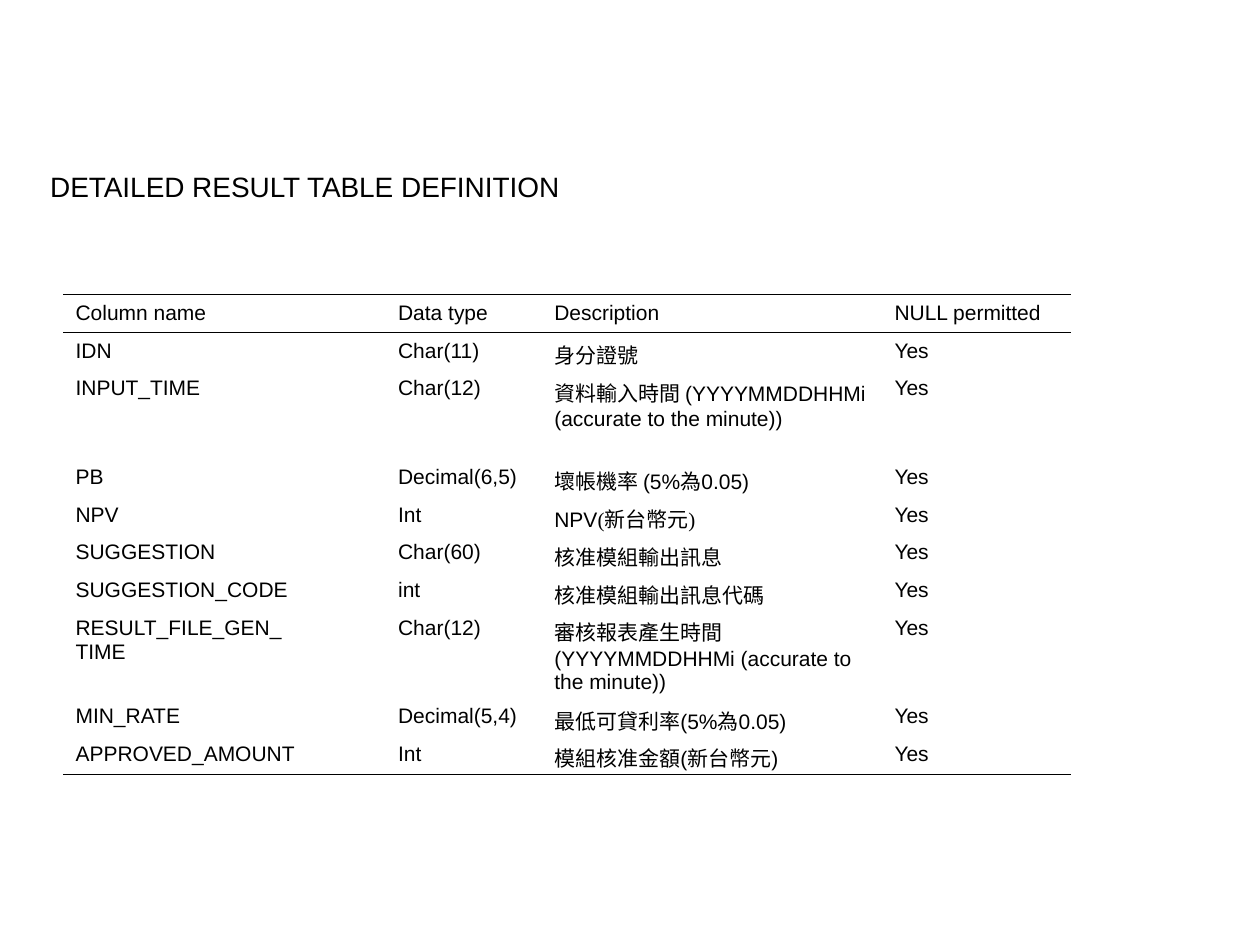
from typing import NamedTuple

from lxml.etree import SubElement
from pptx import Presentation
from pptx.dml.color import RGBColor
from pptx.oxml.ns import qn
from pptx.util import Inches, Pt

BLACK = RGBColor(0x00, 0x00, 0x00)
SANS, SERIF = "Arial", "Times New Roman"
NO_STYLE = "{2D5ABB26-0587-4C30-8999-92F81FD0307C}"
TOP, BOTTOM = "a:lnT", "a:lnB"
OUTER_LINE, HEADER_LINE = 0.75, 0.45
COLUMN_WIDTHS = (2.56, 1.24, 2.7, 1.5)
ROW_HEIGHT, TALL_ROW_HEIGHT = 0.3, 0.7
HEADINGS = ("Column name", "Data type", "Description", "NULL permitted")


class Field(NamedTuple):
    name: str
    data_type: str
    description: str
    null_permitted: str = "Yes"
    height: float = ROW_HEIGHT


FIELDS = (
    Field("IDN", "Char(11)", "身分證號"),
    Field("INPUT_TIME", "Char(12)",
          "資料輸入時間 (YYYYMMDDHHMi (accurate to the minute))", height=TALL_ROW_HEIGHT),
    Field("PB", "Decimal(6,5)", "壞帳機率 (5%為0.05)"),
    Field("NPV", "Int", "NPV(新台幣元)"),
    Field("SUGGESTION", "Char(60)", "核准模組輸出訊息"),
    Field("SUGGESTION_CODE", "int", "核准模組輸出訊息代碼"),
    Field("RESULT_FILE_GEN_\nTIME", "Char(12)",
          "審核報表產生時間 (YYYYMMDDHHMi (accurate to the minute))", height=TALL_ROW_HEIGHT),
    Field("MIN_RATE", "Decimal(5,4)", "最低可貸利率(5%為0.05)"),
    Field("APPROVED_AMOUNT", "Int", "模組核准金額(新台幣元)"),
)
# Descriptions whose brackets are set in the serif face
MIXED_RUNS = {
    "NPV(新台幣元)": (("NPV", SANS), ("(", SERIF), ("新台幣元", SANS), (")", SERIF)),
}


def write(p, text: str, *, size: float = 12, font: str = SANS,
          color: RGBColor = BLACK) -> None:
    """Append text to a paragraph, turning newlines into line breaks."""
    for i, line in enumerate(text.split("\n")):
        if i:
            p.add_line_break()
        r = p.add_run()
        r.text = line
        r.font.size = Pt(size)
        r.font.name = font
        r.font.color.rgb = color


def set_borders(cell, borders: dict[str, float]) -> None:
    """Draw the given edges in black and leave the others without a line."""
    tc_pr = cell._tc.get_or_add_tcPr()
    for edge in ("a:lnL", "a:lnR", TOP, BOTTOM):
        ln = SubElement(tc_pr, qn(edge))
        if edge in borders:
            ln.set("w", str(Pt(borders[edge])))
            fill = SubElement(ln, qn("a:solidFill"))
            SubElement(fill, qn("a:srgbClr")).set("val", str(BLACK))
        else:
            SubElement(ln, qn("a:noFill"))


def row_borders(row: int, last: int) -> dict[str, float]:
    if row == 0:
        return {TOP: OUTER_LINE, BOTTOM: HEADER_LINE}
    if row == 1:
        return {TOP: HEADER_LINE}
    return {BOTTOM: OUTER_LINE} if row == last else {}


def add_title(s) -> None:
    tf = s.shapes.add_textbox(Inches(0.3), Inches(1.3), Inches(9.29), Inches(0.37)).text_frame
    tf.word_wrap = True
    write(tf.paragraphs[0], "DETAILED RESULT TABLE DEFINITION", size=16)


def add_definition_table(s) -> None:
    rows = [HEADINGS, *(field[:4] for field in FIELDS)]
    heights = [ROW_HEIGHT, *(field.height for field in FIELDS)]
    table = s.shapes.add_table(len(rows), len(HEADINGS), Inches(0.5), Inches(2.34),
                               Inches(sum(COLUMN_WIDTHS)), Inches(sum(heights))).table
    table.first_row = table.horz_banding = False
    table._tbl.tblPr.find(qn("a:tableStyleId")).text = NO_STYLE
    for column, width in zip(table.columns, COLUMN_WIDTHS):
        column.width = Inches(width)
    for i, (texts, height) in enumerate(zip(rows, heights)):
        table.rows[i].height = Inches(height)
        for cell, text in zip(table.rows[i].cells, texts):
            set_borders(cell, row_borders(i, len(rows) - 1))
            cell.fill.background()
            for part, font in MIXED_RUNS.get(text, ((text, SANS),)):
                write(cell.text_frame.paragraphs[0], part, font=font)


def main() -> None:
    prs = Presentation()
    prs.slide_width, prs.slide_height = Inches(10), Inches(7.5)
    s = prs.slides.add_slide(prs.slide_layouts[6])
    add_title(s)
    add_definition_table(s)
    prs.save("out.pptx")


if __name__ == "__main__":
    main()
